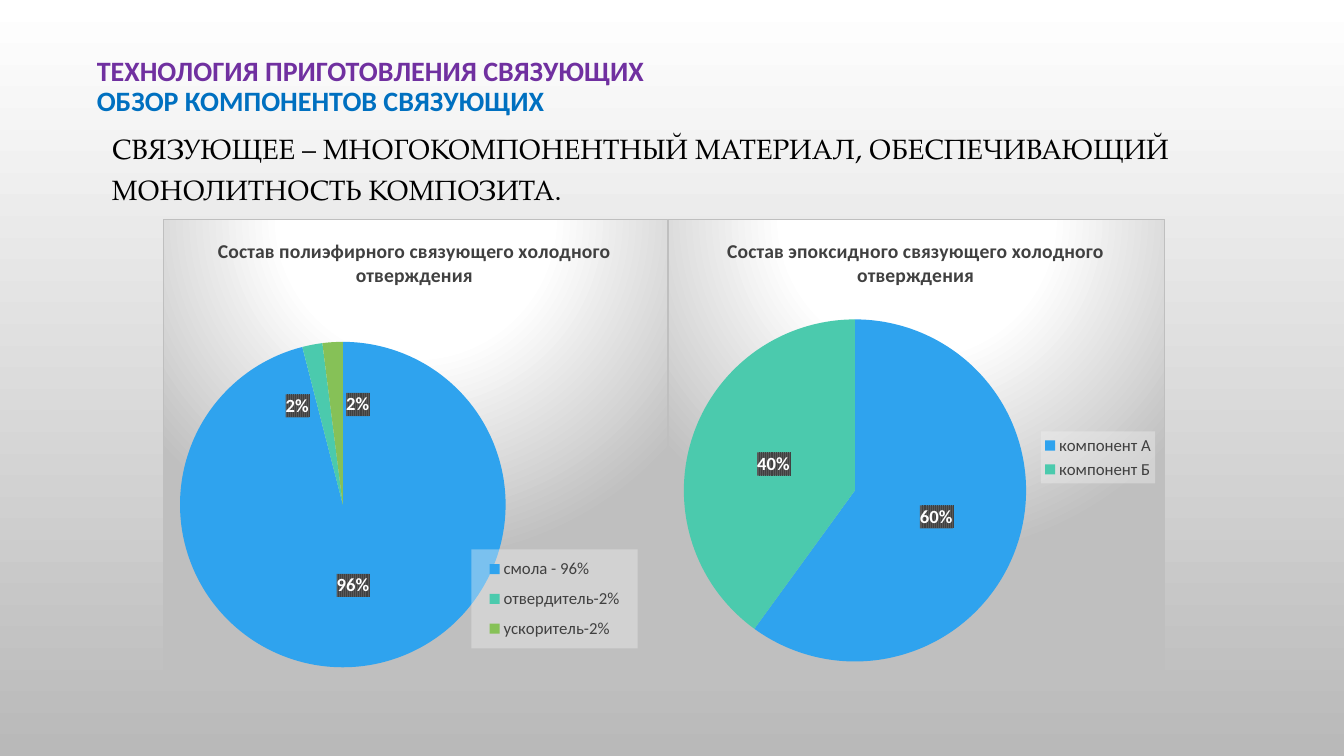
from copy import deepcopy

from lxml.etree import SubElement
from pptx import Presentation
from pptx.chart.data import CategoryChartData
from pptx.dml.color import RGBColor
from pptx.enum.chart import XL_CHART_TYPE as ChartType
from pptx.enum.chart import XL_LABEL_POSITION as LabelPosition
from pptx.enum.chart import XL_LEGEND_POSITION as LegendPosition
from pptx.enum.text import MSO_ANCHOR as Anchor
from pptx.enum.text import MSO_AUTO_SIZE as AutoSize
from pptx.enum.text import PP_ALIGN as Align
from pptx.oxml import parse_xml
from pptx.oxml.ns import nsdecls, qn
from pptx.util import Inches, Pt

rgb = RGBColor.from_string

PANEL_STYLE = """<a:gradFill><a:gsLst>
<a:gs pos="0"><a:srgbClr val="FFFFFF"/></a:gs>
<a:gs pos="39000"><a:srgbClr val="FFFFFF"/></a:gs>
<a:gs pos="100000"><a:srgbClr val="BFBFBF"/></a:gs></a:gsLst>
<a:path path="circle"><a:fillToRect l="50000" t="-80000" r="50000" b="180000"/></a:path>
</a:gradFill><a:ln w="9525"><a:solidFill><a:srgbClr val="BFBFBF"/></a:solidFill></a:ln>"""
LEGEND_STYLE = """<a:solidFill><a:srgbClr val="F2F2F2">
<a:alpha val="39000"/></a:srgbClr></a:solidFill>"""
LABEL_STYLE = """<a:pattFill prst="narVert">
<a:fgClr><a:srgbClr val="404040"/></a:fgClr>
<a:bgClr><a:srgbClr val="595959"/></a:bgClr></a:pattFill>"""


def add_style(parent, style):
    """Give a chart part its fill and line, just ahead of its text properties."""
    shape_style = parse_xml(f'<c:spPr {nsdecls("c", "a")}>{style}</c:spPr>')
    parent.find(qn("c:txPr")).addprevious(shape_style)


def manual_layout(parent, index, **values):
    """Place a chart part by fractions of the chart's size."""
    for old in parent.findall(qn("c:layout")):
        parent.remove(old)
    layout = parse_xml(f'<c:layout {nsdecls("c")}><c:manualLayout/></c:layout>')
    for name, value in values.items():
        SubElement(layout[0], qn(f"c:{name}")).set("val", str(value))
    parent.insert(index, layout)


# Deck, page and background
deck = Presentation()
deck.slide_width, deck.slide_height = Inches(13.33), Inches(7.5)
page = deck.slides.add_slide(deck.slide_layouts[1])
backdrop = page.background.fill
backdrop.gradient()
backdrop.gradient_angle = 270
for stop, color, position in zip(backdrop.gradient_stops, ("FFFFFF", "B9B9B9"), (0, 1)):
    stop.color.rgb = rgb(color)
    stop.position = position

# Title and definition
texts = [
    (page.shapes.title, (0.86, 0.52, 12.05, 0.47), "Calibri", True, 0.9, 0,
     [("ТЕХНОЛОГИЯ ПРИГОТОВЛЕНИЯ СВЯЗУЮЩИХ", "7030A0"),
      ("ОБЗОР КОМПОНЕНТОВ СВЯЗУЮЩИХ", "0070C0")]),
    (page.placeholders[1], (1.01, 1.19, 11.67, 5.67), "TeX Gyre Pagella", False, 1.2, 10,
     [("СВЯЗУЮЩЕЕ – МНОГОКОМПОНЕНТНЫЙ МАТЕРИАЛ, ОБЕСПЕЧИВАЮЩИЙ "
       "МОНОЛИТНОСТЬ КОМПОЗИТА.", "000000")]),
]
for box, place, font_name, bold, spacing, before, lines in texts:
    box.left, box.top, box.width, box.height = map(Inches, place)
    frame = box.text_frame
    frame.word_wrap = True
    frame.auto_size = AutoSize.NONE
    frame.vertical_anchor = Anchor.TOP
    para = frame.paragraphs[0]
    para.alignment = Align.LEFT
    para.line_spacing = spacing
    para.space_before = Pt(before)
    for number, (words, color) in enumerate(lines):
        if number:
            para.add_line_break()
        span = para.add_run()
        span.text = words
        span.font.name, span.font.size, span.font.bold = font_name, Pt(20), bold
        span.font.color.rgb = rgb(color)

# The definition has no bullet
para_style = para._p.get_or_add_pPr()
para_style.set("marL", "0")
para_style.set("indent", "0")
SubElement(para_style, qn("a:buNone"))

# Pie charts: place, title, shares, layouts of title, plot and legend, label shifts
pies = [
    ((1.62, 2.17, 5.01, 4.69), "Состав полиэфирного связующего холодного отверждения",
     {"смола - 96%": 96, "отвердитель-2%": 2, "ускоритель-2%": 2},
     (0.1, 0.03), (0.03, 0.26, 0.65, 0.69), (0.61, 0.7, 0.33, 0.21),
     {1: (-0.06, -0.04), 2: (0.04, -0.04)}),
    ((6.63, 2.17, 4.93, 4.69), "Состав эпоксидного связующего холодного отверждения",
     {"компонент А": 60, "компонент Б": 40},
     (0.11, 0.03), (0.03, 0.21, 0.69, 0.73), (0.75, 0.45, 0.23, 0.11), {}),
]
for place, heading, shares, title_at, plot_at, legend_at, shifts in pies:
    data = CategoryChartData()
    data.categories = list(shares)
    data.add_series("Series 1", list(shares.values()))
    chart = page.shapes.add_chart(ChartType.PIE, *map(Inches, place), data).chart
    chart.font.name, chart.font.size = "Calibri", Pt(10)
    chart.font.color.rgb = rgb("000000")
    add_style(chart.element, PANEL_STYLE)

    # Heading
    chart.has_title = True
    span = chart.chart_title.text_frame.paragraphs[0].add_run()
    span.text = heading
    span.font.name, span.font.size, span.font.bold = "Calibri", Pt(14), True
    span.font.color.rgb = rgb("404040")
    manual_layout(chart.element.xpath(".//c:title")[0], 1, xMode="edge", yMode="edge",
                  x=title_at[0], y=title_at[1])

    # Legend
    chart.has_legend = True
    legend = chart.legend
    legend.position = LegendPosition.RIGHT
    legend.include_in_layout = False
    legend.font.name, legend.font.size = "Calibri", Pt(12)
    legend.font.color.rgb = rgb("404040")
    legend_part = chart.element.xpath(".//c:legend")[0]
    add_style(legend_part, LEGEND_STYLE)
    manual_layout(legend_part, 1, xMode="edge", yMode="edge",
                  **dict(zip("xywh", legend_at)))

    # Slices
    manual_layout(chart.element.xpath(".//c:plotArea")[0], 0, layoutTarget="inner",
                  xMode="edge", yMode="edge", **dict(zip("xywh", plot_at)))
    plot = chart.plots[0]
    plot.vary_by_categories = True
    series = plot.series[0]
    for index, color in zip(range(len(shares)), ("2FA3EE", "4BCAAD", "86C157")):
        fill = series.points[index].format.fill
        fill.solid()
        fill.fore_color.rgb = rgb(color)

    # Percent labels
    labels = series.data_labels
    labels.show_percentage, labels.show_value = True, False
    labels.number_format, labels.number_format_is_linked = "0%", False
    labels.position = LabelPosition.CENTER
    labels.font.name, labels.font.size, labels.font.bold = "Calibri", Pt(13.3), True
    labels.font.color.rgb = rgb("FFFFFF")
    labels_part = chart.element.xpath(".//c:ser/c:dLbls")[0]
    add_style(labels_part, LABEL_STYLE)
    shared = [part for part in labels_part if part.tag != qn("c:showLeaderLines")]
    for position, (index, (shift_x, shift_y)) in enumerate(shifts.items()):
        label = parse_xml(f'<c:dLbl {nsdecls("c")}><c:idx val="{index}"/></c:dLbl>')
        label.extend(deepcopy(part) for part in shared)
        manual_layout(label, 1, x=shift_x, y=shift_y)
        labels_part.insert(position, label)

deck.save("out.pptx")
